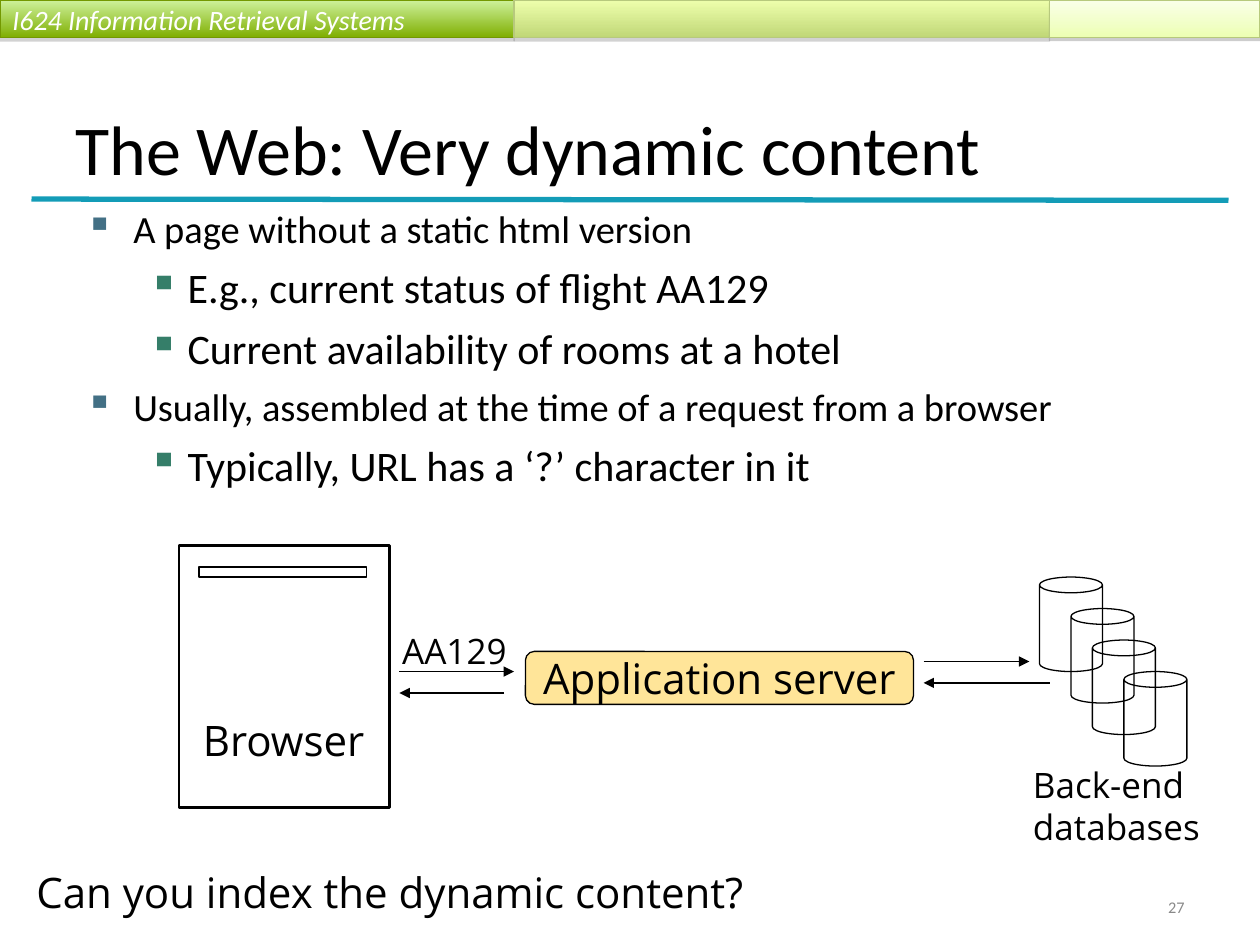
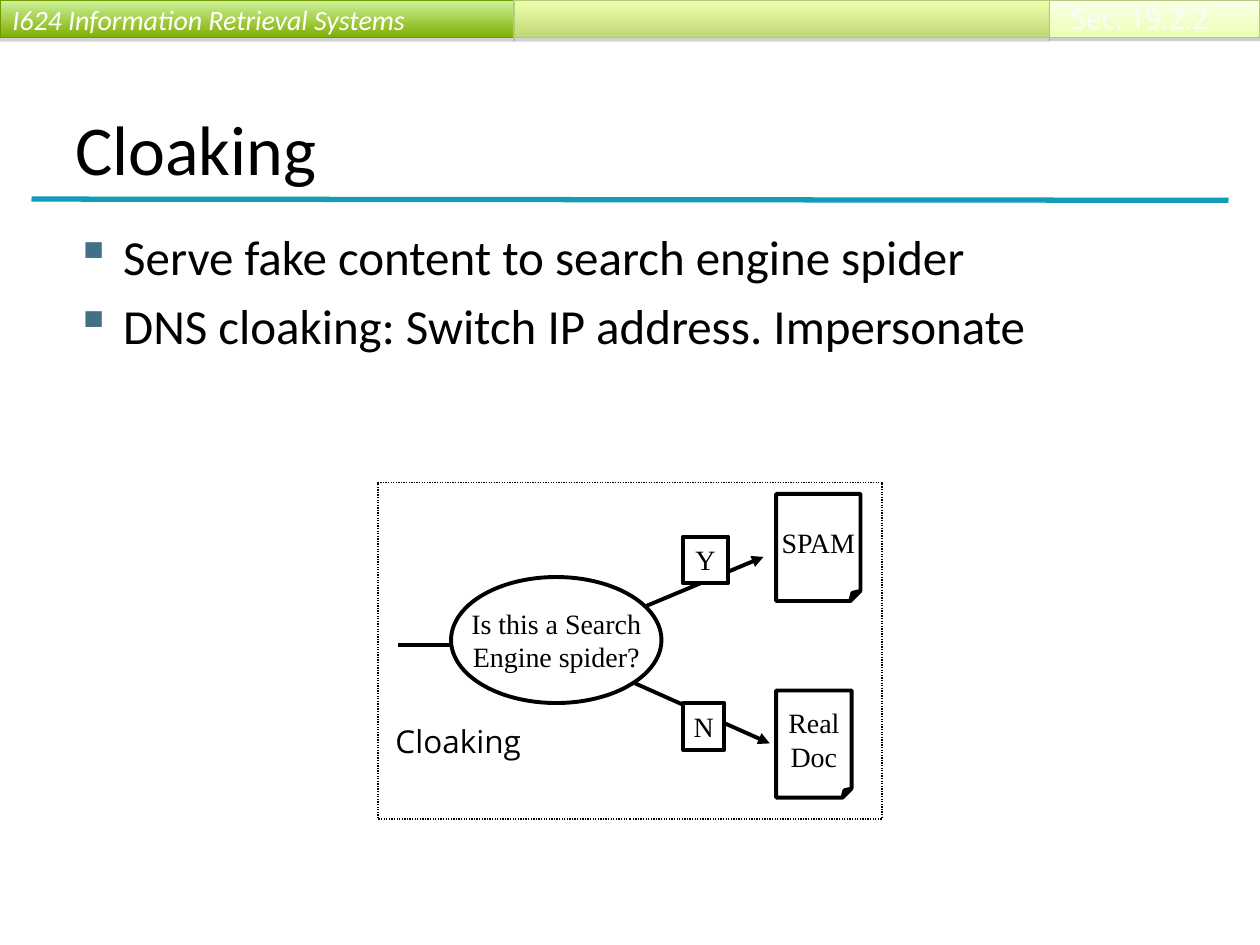
"""Build two lecture slides on dynamic web content and cloaking."""
from dataclasses import dataclass
from typing import NamedTuple, Optional

from lxml import etree
from pptx import Presentation
from pptx import util as u
from pptx.dml.color import RGBColor
from pptx.enum import dml, shapes, text
from pptx.oxml import ns

BLACK, WHITE = "000000", "FFFFFF"
HEADING_FONT, LABEL_FONT, DIAGRAM_FONT = "Calibri", "Open Sans", "Times New Roman"
LEFT, CENTER, RIGHT = text.PP_ALIGN.LEFT, text.PP_ALIGN.CENTER, text.PP_ALIGN.RIGHT
TOP, MIDDLE, BOTTOM = text.MSO_ANCHOR.TOP, text.MSO_ANCHOR.MIDDLE, text.MSO_ANCHOR.BOTTOM
Kind = shapes.MSO_SHAPE


class Box(NamedTuple):
    """Position and size in inches."""
    left: float
    top: float
    width: float
    height: float


@dataclass
class Label:
    """Text with its style and alignment."""
    words: str
    size: float
    font: str = LABEL_FONT
    color: str = BLACK
    align: text.PP_ALIGN = LEFT
    anchor: text.MSO_ANCHOR = TOP
    italic: bool = False
    wrap: bool = False
    line_spacing: Optional[float] = None


@dataclass
class Figure:
    """Outlined preset shape with an optional label."""
    kind: Kind
    box: Box
    line_width: float = 0.75
    fill: Optional[str] = None
    alpha: Optional[int] = None
    label: Optional[Label] = None
    fold: Optional[float] = None
    dash: Optional[dml.MSO_LINE] = None


class Band(NamedTuple):
    """Gradient section of the header."""
    left: float
    width: float
    start: str
    end: str
    line: str
    shadow_alpha: int
    shadow_distance: float


class Line(NamedTuple):
    """Straight line, with an arrowhead at its end by default."""
    x1: float
    y1: float
    x2: float
    y2: float
    width: float = 0.75
    color: str = BLACK
    arrow: bool = True


class Bullet(NamedTuple):
    """Bulleted line with its level and sizes in points."""
    words: str
    level: int
    size: float
    space_before: float


class BulletStyle(NamedTuple):
    """Indents in inches and colour of a bullet level."""
    margin: float
    hang: float
    color: str


BANDS = [
    Band(0, 4.08, "CEF29D", "7FAE00", "739801", 35, 1.8),
    Band(4.08, 4.25, "EEFFAC", "C0D777", "B7C97D", 35, 1.8),
    Band(8.33, 1.67, "FAFFE9", "ECFFB3", "B7C97D", 38, 1.6),
]
BAND_HEIGHT = 0.3
COURSE = Label("I624 Information Retrieval Systems", 16, HEADING_FONT, WHITE,
               anchor=MIDDLE, italic=True, wrap=True)
TITLE_BOX = Box(0.5, 0.3, 9, 1.25)
TITLE_RULE = Line(0.25, 1.58, 9.75, 1.59, 3, "139CB7", False)
BULLET_STYLES = [BulletStyle(0.38, 0.38, "437085"), BulletStyle(0.81, 0.31, "357E69")]


def rgb(color: str) -> RGBColor:
    """Turn a hex string into a colour."""
    return RGBColor.from_string(color)


def inches(box: Box) -> list:
    """Give the box as lengths."""
    return [u.Inches(value) for value in box]


def add_xml(parent, tag: str, **attributes):
    """Append a drawing element and return it."""
    return etree.SubElement(parent, ns.qn(f"a:{tag}"), attributes)


def style_font(paragraph, size: float, font: str, color: str, italic: bool = False) -> None:
    """Set the font of a paragraph."""
    paragraph.font.size = u.Pt(size)
    paragraph.font.name = font
    paragraph.font.italic = italic
    paragraph.font.color.rgb = rgb(color)


def write_label(shape, label: Label) -> None:
    """Write a label into a shape, one paragraph a line."""
    frame = shape.text_frame
    frame.word_wrap = label.wrap
    frame.vertical_anchor = label.anchor
    frame.text = label.words
    for paragraph in frame.paragraphs:
        paragraph.alignment = label.align
        paragraph.line_spacing = label.line_spacing
        style_font(paragraph, label.size, label.font, label.color, label.italic)


def add_label(slide, box: Box, label: Label) -> None:
    """Add a text box with a label."""
    write_label(slide.shapes.add_textbox(*inches(box)), label)


def add_figure(slide, figure: Figure) -> None:
    """Add an outlined preset shape."""
    shape = slide.shapes.add_shape(figure.kind, *inches(figure.box))
    shape.shadow.inherit = False
    shape.line.color.rgb = rgb(BLACK)
    shape.line.width = u.Pt(figure.line_width)
    if figure.dash:
        shape.line.dash_style = figure.dash
    if figure.fill:
        shape.fill.solid()
        shape.fill.fore_color.rgb = rgb(figure.fill)
    else:
        shape.fill.background()
    if figure.alpha:
        color = shape.element.spPr.find(ns.qn("a:solidFill"))[0]
        add_xml(color, "alpha", val=str(figure.alpha * 1000))
    if figure.fold:
        adjustments = next(shape.element.spPr.iter(ns.qn("a:avLst")))
        add_xml(adjustments, "gd", name="adj", fmla=f"val {figure.fold * 100000:.0f}")
    if figure.label:
        write_label(shape, figure.label)


def add_line(slide, line: Line) -> None:
    """Add a straight line or arrow."""
    ends = [u.Inches(value) for value in line[:4]]
    connector = slide.shapes.add_connector(shapes.MSO_CONNECTOR.STRAIGHT, *ends)
    connector.line.color.rgb = rgb(line.color)
    connector.line.width = u.Pt(line.width)
    if line.arrow:
        add_xml(connector.element.spPr.find(ns.qn("a:ln")), "tailEnd", type="triangle")
    add_xml(connector.element.spPr, "effectLst")


def add_band(slide, band: Band):
    """Add one gradient section of the header."""
    box = Box(band.left, 0, band.width, BAND_HEIGHT)
    shape = slide.shapes.add_shape(Kind.RECTANGLE, *inches(box))
    shape.fill.gradient()
    shape.fill.gradient_angle = 270
    for stop, color, position in zip(shape.fill.gradient_stops, (band.start, band.end), (0, 1)):
        stop.color.rgb = rgb(color)
        stop.position = position
    shape.line.color.rgb = rgb(band.line)
    shape.line.width = u.Pt(0.75)
    shape.shadow.inherit = False
    effects = shape.element.spPr.find(ns.qn("a:effectLst"))
    shadow = add_xml(effects, "outerShdw", blurRad="0", dir="5400000",
                     dist=str(u.Pt(band.shadow_distance)), rotWithShape="0")
    color = add_xml(shadow, "srgbClr", val="808080")
    add_xml(color, "alpha", val=str(band.shadow_alpha * 1000))
    return shape


def add_bullets(slide, box: Box, bullets: list[Bullet]) -> None:
    """Add a bulleted text box."""
    frame = slide.shapes.add_textbox(*inches(box)).text_frame
    frame.word_wrap = True
    frame.text = "\n".join(bullet.words for bullet in bullets)
    for paragraph, bullet in zip(frame.paragraphs, bullets):
        style = BULLET_STYLES[bullet.level]
        paragraph.level = bullet.level
        paragraph.space_before = u.Pt(bullet.space_before)
        properties = paragraph._p.get_or_add_pPr()
        properties.set("marL", str(u.Inches(style.margin)))
        properties.set("indent", str(-u.Inches(style.hang)))
        add_xml(add_xml(properties, "buClr"), "srgbClr", val=style.color)
        add_xml(properties, "buChar", char="▪")
        style_font(paragraph, bullet.size, HEADING_FONT, BLACK)


def add_base_slide(presentation, title: str):
    """Add a slide with header bands, title and rule."""
    slide = presentation.slides.add_slide(presentation.slide_layouts[6])
    first_band, *_ = [add_band(slide, band) for band in BANDS]
    write_label(first_band, COURSE)
    add_line(slide, TITLE_RULE)
    add_label(slide, TITLE_BOX, Label(title, 40, HEADING_FONT, anchor=BOTTOM, wrap=True))
    return slide


def build_dynamic_content(presentation) -> None:
    """Build the slide on dynamic content."""
    slide = add_base_slide(presentation, "The Web: Very dynamic content")
    add_bullets(slide, Box(0.58, 1.58, 8.82, 5.17), [
        Bullet("A page without a static html version", 0, 22, 5.5),
        Bullet("E.g., current status of flight AA129", 1, 24, 6),
        Bullet("Current availability of rooms at a hotel", 1, 24, 6),
        Bullet("Usually, assembled at the time of a request from a browser", 0, 22, 5.5),
        Bullet("Typically, URL has a ‘?’ character in it", 1, 24, 6),
    ])
    server = Label("Application server", 24, align=CENTER, anchor=MIDDLE)
    databases = [Figure(Kind.CAN, Box(left, 4.58 + 0.25 * row, 0.5, 0.75))
                 for row, left in enumerate((8.25, 8.5, 8.67, 8.92))]
    for figure in [
        Figure(Kind.ROUNDED_RECTANGLE, Box(4.17, 5.17, 3.08, 0.42),
               fill="FFC000", alpha=40, label=server),
        Figure(Kind.RECTANGLE, Box(1.42, 4.33, 1.67, 2.08), 1.5),
        Figure(Kind.RECTANGLE, Box(1.58, 4.5, 1.33, 0.08)),
        *databases,
    ]:
        add_figure(slide, figure)
    for line in [
        Line(3.17, 5.33, 4.08, 5.33),
        Line(4, 5.5, 3.17, 5.5),
        Line(7.33, 5.25, 8.17, 5.25),
        Line(8.33, 5.42, 7.33, 5.42),
    ]:
        add_line(slide, line)
    add_label(slide, Box(1.49, 5.62, 1.5, 0.5), Label("Browser", 24, align=RIGHT))
    add_label(slide, Box(3.09, 4.95, 1.03, 0.44), Label("AA129", 20, align=RIGHT))
    add_label(slide, Box(8.1, 6.01, 1.53, 0.77), Label("Back-end\ndatabases", 20))
    add_label(slide, Box(7.17, 7.08, 2.33, 0.27),
              Label("27", 9.3, HEADING_FONT, "898989", RIGHT, MIDDLE,
                    wrap=True, line_spacing=0.8))
    add_label(slide, Box(0.19, 6.83, 6.03, 0.5), Label("Can you index the dynamic content?", 24))


def diagram_figure(kind: Kind, box: Box, words: str, align=CENTER, anchor=MIDDLE,
                   fold: Optional[float] = None) -> Figure:
    """Describe a white, heavily outlined part of the cloaking diagram."""
    label = Label(words, 16, DIAGRAM_FONT, align=align, anchor=anchor)
    return Figure(kind, box, 2.25, WHITE, label=label, fold=fold)


def build_cloaking(presentation) -> None:
    """Build the slide on cloaking."""
    slide = add_base_slide(presentation, "Cloaking")
    add_bullets(slide, Box(0.5, 1.75, 9, 5.42), [
        Bullet("Serve fake content to search engine spider", 0, 28, 7),
        Bullet("DNS cloaking: Switch IP address. Impersonate", 0, 28, 5.5),
    ])
    add_figure(slide, Figure(Kind.RECTANGLE, Box(3, 3.83, 4, 2.67), fill=WHITE,
                             dash=dml.MSO_LINE.ROUND_DOT))
    for ends in [(3.16, 5.12, 4.21, 5.12), (5.08, 4.83, 6.06, 4.42), (5.01, 5.41, 6.11, 5.9)]:
        add_line(slide, Line(*ends, width=2.25))
    for figure in [
        diagram_figure(Kind.OVAL, Box(3.58, 4.58, 1.67, 1), "Is this a Search\nEngine spider?"),
        diagram_figure(Kind.RECTANGLE, Box(5.42, 4.26, 0.36, 0.37), "Y", LEFT, TOP),
        diagram_figure(Kind.RECTANGLE, Box(5.42, 5.58, 0.33, 0.37), "N", CENTER, TOP),
        diagram_figure(Kind.FOLDED_CORNER, Box(6.16, 3.92, 0.67, 0.85), "SPAM", fold=0.12),
        diagram_figure(Kind.FOLDED_CORNER, Box(6.16, 5.48, 0.6, 0.85), "Real\nDoc", fold=0.12),
    ]:
        add_figure(slide, figure)
    add_label(slide, Box(3.04, 5.68, 1.22, 0.4), Label("Cloaking", 18))
    add_label(slide, Box(8.4, -0.04, 1.29, 0.37),
              Label("Sec. 19.2.2", 16, color="FBFCFF", anchor=MIDDLE))


def main() -> None:
    """Build and save the presentation."""
    presentation = Presentation()
    presentation.slide_width, presentation.slide_height = u.Inches(10), u.Inches(7.5)
    build_dynamic_content(presentation)
    build_cloaking(presentation)
    presentation.save("out.pptx")


if __name__ == "__main__":
    main()
